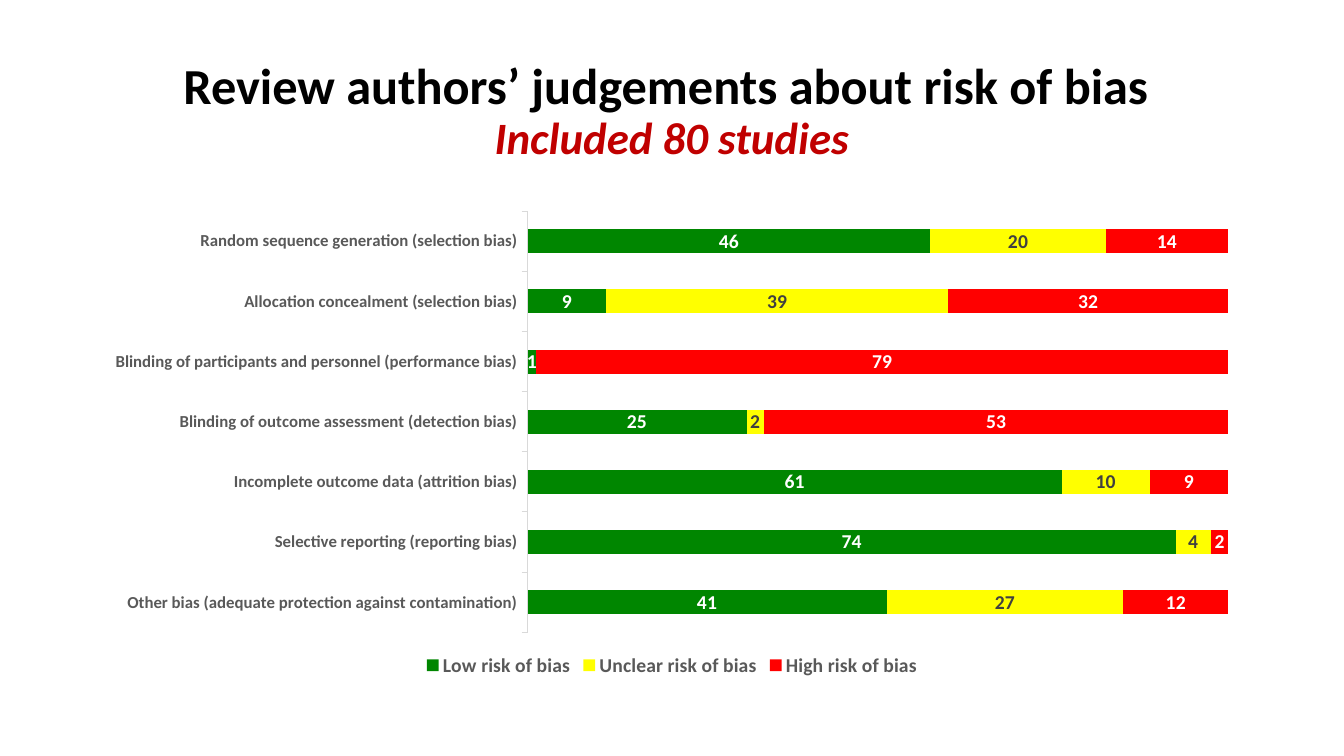
from pptx import Presentation
from pptx import util as u
from pptx.chart import data as cd
from pptx.dml.color import RGBColor
from pptx.enum import chart as ch, text

PX = 9525  # EMU in one px, 96 px to the inch
FONT = "Calibri"
BLACK = RGBColor(0, 0, 0)
WHITE = RGBColor(0xFF, 0xFF, 0xFF)
CRIMSON = RGBColor(0xC0, 0, 0)
GREEN = RGBColor(0, 0x86, 0)
YELLOW = RGBColor(0xFF, 0xFF, 0)
RED = RGBColor(0xFF, 0, 0)
DARK = RGBColor(0x40, 0x40, 0x40)
GREY = RGBColor(0x59, 0x59, 0x59)
PALE = RGBColor(0xD9, 0xD9, 0xD9)

# Studies by kind of bias: low, unclear and high risk, bottom bar first
BIAS = {
    "Other bias (adequate protection against contamination)": (41, 27, 12),
    "Selective reporting (reporting bias)": (74, 4, 2),
    "Incomplete outcome data (attrition bias)": (61, 10, 9),
    "Blinding of outcome assessment (detection bias)": (25, 2, 53),
    "Blinding of participants and personnel (performance bias)": (1, 0, 79),
    "Allocation concealment (selection bias)": (9, 39, 32),
    "Random sequence generation (selection bias)": (46, 20, 14),
}
# Risk level: bar colour, label colour
RISKS = {
    "Low risk of bias": (GREEN, WHITE),
    "Unclear risk of bias": (YELLOW, DARK),
    "High risk of bias": (RED, WHITE),
}


class Deck:
    def __init__(self, width, height):
        self.prs = Presentation()
        self.prs.slide_width = width * PX
        self.prs.slide_height = height * PX
        self.slide = self.prs.slides.add_slide(self.prs.slide_layouts[5])

    def style(self, font, size, color, bold=True, italic=False):
        font.name = FONT
        font.size = u.Pt(size)
        font.bold = bold
        font.italic = italic
        font.color.rgb = color

    def title(self, box, lines, looks):
        shape = self.slide.shapes.title
        shape.left, shape.top, shape.width, shape.height = [n * PX for n in box]
        frame = shape.text_frame
        frame.text = "\v".join(lines)
        frame.word_wrap = True
        frame.vertical_anchor = text.MSO_ANCHOR.MIDDLE
        para = frame.paragraphs[0]
        para.alignment = text.PP_ALIGN.CENTER
        para.line_spacing = 0.9
        for run, look in zip(para.runs, looks):
            self.style(run.font, *look)

    def bars(self, box, rows, risks):
        data = cd.CategoryChartData()
        data.categories = list(rows)
        for name, vals in zip(risks, zip(*rows.values())):
            data.add_series(name, vals)
        kind = ch.XL_CHART_TYPE.BAR_STACKED_100
        chart = self.slide.shapes.add_chart(
            kind, *[n * PX for n in box], data).chart
        self.style(chart.font, 10, BLACK, bold=False)
        chart.has_title = False

        # Legend
        chart.has_legend = True
        chart.legend.position = ch.XL_LEGEND_POSITION.BOTTOM
        chart.legend.include_in_layout = False
        self.style(chart.legend.font, 14, GREY)

        # Axes
        axis = chart.category_axis
        axis.major_tick_mark = ch.XL_TICK_MARK.OUTSIDE
        axis.format.line.color.rgb = PALE
        axis.format.line.width = u.Pt(0.75)
        self.style(axis.tick_labels.font, 12, GREY)
        chart.value_axis.has_major_gridlines = False
        chart.value_axis.visible = False

        # Bars and their labels
        plot = chart.plots[0]
        plot.gap_width = 150
        plot.overlap = 100
        plot.vary_by_categories = False
        for series, (fill, ink) in zip(plot.series, risks.values()):
            series.format.fill.solid()
            series.format.fill.fore_color.rgb = fill
            labels = series.data_labels
            labels.show_value = True
            labels.number_format = "0;;;"  # zero shows no label
            labels.number_format_is_linked = False
            self.style(labels.font, 14, ink)


def main():
    deck = Deck(1280, 720)
    deck.title(
        (88, 38, 1104, 139),
        ("Review authors’ judgements about risk of bias ", "Included 80 studies"),
        ((36, BLACK), (32, CRIMSON, True, True)),
    )
    deck.bars((88, 192, 1104, 457), BIAS, RISKS)
    deck.prs.save("out.pptx")


if __name__ == "__main__":
    main()
